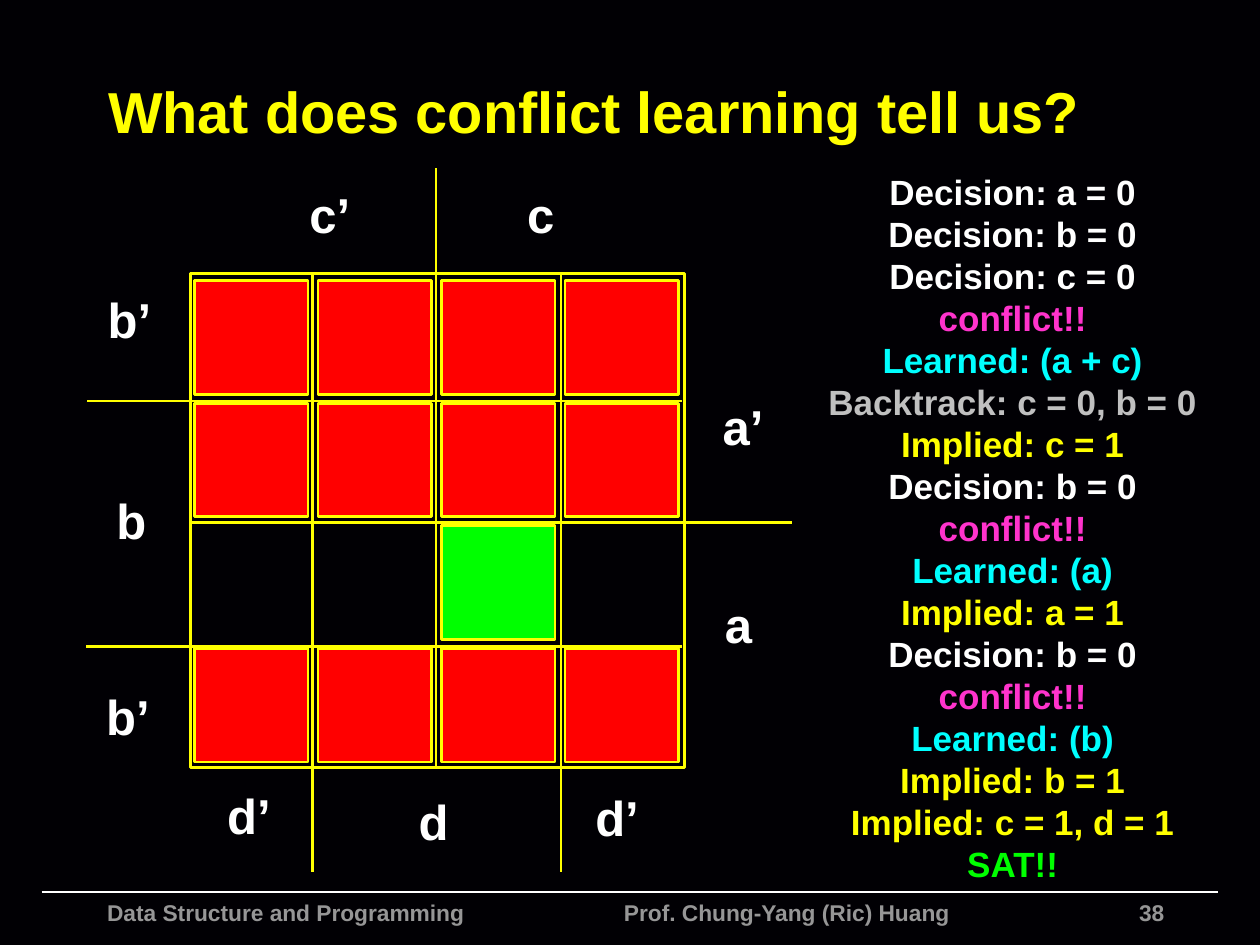
from lxml import etree
from pptx import Presentation
from pptx.dml.color import RGBColor
from pptx.enum.shapes import MSO_CONNECTOR as Connector, MSO_SHAPE as Shape
from pptx.enum.text import MSO_ANCHOR as Anchor, PP_ALIGN as Align
from pptx.oxml.ns import qn
from pptx.util import Cm, Pt

YELLOW, WHITE, GREY = "FFFF00", "FFFFFF", "969696"
RED, GREEN, PINK, CYAN, SILVER = "FF0000", "00FF00", "FF33CC", "00FFFF", "C0C0C0"

# Karnaugh map, in cm from its top left corner
PITCH_X, PITCH_Y, TILE = 2.49, 2.47, 2.29
TILE_LEFT, TILE_TOP = 0.08, 0.15
TILE_ROWS = ["RRRR", "RRRR", "..G.", "RRRR"]
TILE_COLORS = {"R": RED, "G": GREEN}
DIVIDERS = [
    (0, 5.03, 12.12, 5.03), (4.95, 9.93, 4.95, -2.13),
    (9.9, 2.57, -2.08, 2.57), (9.9, 7.52, -2.11, 7.52),
    (2.46, 0, 2.46, 12.07), (7.47, 0, 7.47, 12.07),
]
# Label text, centre, top
LABELS = [
    ("a", 11.05, 6.35), ("a’", 11.14, 2.36),
    ("b’", -1.23, 0.2), ("b", -1.19, 4.24), ("b’", -1.26, 8.2),
    ("c’", 2.81, -1.93), ("c", 7.06, -1.93),
    ("d’", 1.18, 10.19), ("d", 4.9, 10.31), ("d’", 8.6, 10.24),
]
LOG = [
    ("Decision: a = 0", WHITE), ("Decision: b = 0", WHITE),
    ("Decision: c = 0", WHITE), ("conflict!!", PINK),
    ("Learned: (a + c)", CYAN), ("Backtrack: c = 0, b = 0", SILVER),
    ("Implied: c = 1", YELLOW), ("Decision: b = 0", WHITE),
    ("conflict!!", PINK), ("Learned: (a)", CYAN),
    ("Implied: a = 1", YELLOW), ("Decision: b = 0", WHITE),
    ("conflict!!", PINK), ("Learned: (b)", CYAN),
    ("Implied: b = 1", YELLOW), ("Implied: c = 1, d = 1", YELLOW),
    ("SAT!!", GREEN),
]


def color(hex_code):
    return RGBColor.from_string(hex_code)


def style(para, size, hex_code, align=Align.LEFT):
    para.alignment = align
    font = para.font
    font.name, font.size, font.bold = "Arial", Pt(size), True
    font.color.rgb = color(hex_code)


def add_text_frame(page, left, top, width, height, inset=0.25, wrap=True):
    box = page.shapes.add_textbox(Cm(left), Cm(top), Cm(width), Cm(height))
    frame = box.text_frame
    frame.word_wrap = wrap
    frame.margin_left = frame.margin_right = Cm(inset)
    frame.margin_top = frame.margin_bottom = Cm(0.13)
    return frame


def add_line(page, x1, y1, x2, y2, hex_code, weight):
    line = page.shapes.add_connector(
        Connector.STRAIGHT, Cm(x1), Cm(y1), Cm(x2), Cm(y2))
    line.line.color.rgb = color(hex_code)
    line.line.width = Pt(weight)
    etree.SubElement(line._element.spPr, qn("a:effectLst"))


def add_square(page, left, top, side, fill=None):
    square = page.shapes.add_shape(
        Shape.RECTANGLE, Cm(left), Cm(top), Cm(side), Cm(side))
    square.shadow.inherit = False
    if fill:
        square.fill.solid()
        square.fill.fore_color.rgb = color(fill)
    else:
        square.fill.background()
    square.line.color.rgb = color(YELLOW)
    square.line.width = Pt(1.5)


def add_title(page, left, top, width, height):
    frame = add_text_frame(page, left, top, width, height)
    frame.vertical_anchor = Anchor.MIDDLE
    para = frame.paragraphs[0]
    para.text = "What does conflict learning tell us?"
    style(para, 33, YELLOW)


def add_map(page, left, top, side):
    # Frame and dividing lines
    add_square(page, left, top, side)
    for x1, y1, x2, y2 in DIVIDERS:
        add_line(page, left + x1, top + y1, left + x2, top + y2, YELLOW, 1.5)

    # Coloured tiles
    for row, marks in enumerate(TILE_ROWS):
        for column, mark in enumerate(marks):
            if mark in TILE_COLORS:
                add_square(page, left + TILE_LEFT + column * PITCH_X,
                           top + TILE_TOP + row * PITCH_Y,
                           TILE, TILE_COLORS[mark])

    # Variable labels
    width = 1.14
    for text, center, label_top in LABELS:
        frame = add_text_frame(page, left + center - width / 2,
                               top + label_top, width, 1.45, 0.13, wrap=False)
        para = frame.paragraphs[0]
        para.text = text
        style(para, 28, WHITE, Align.CENTER)


def add_log(page, left, top, width, height):
    frame = add_text_frame(page, left, top, width, height, 0.13)
    for index, (text, hex_code) in enumerate(LOG):
        para = frame.add_paragraph() if index else frame.paragraphs[0]
        para.text = text
        para.line_spacing = Pt(24)
        style(para, 20, hex_code, Align.CENTER)


def add_footer(page, left, top, width):
    add_line(page, left, top, left + width, top, WHITE, 1)

    # Course and lecturer, set apart by a tab stop
    para = add_text_frame(page, left + 1.07, top, 18.39, 1.07).paragraphs[0]
    para.text = "Data Structure and Programming\tProf. Chung-Yang (Ric) Huang"
    tabs = etree.SubElement(para._p.get_or_add_pPr(), qn("a:tabLst"))
    etree.SubElement(tabs, qn("a:tab"), pos=str(Cm(10.42)), algn="l")
    style(para, 13, GREY)

    # Page number
    number = add_text_frame(page, left + 14.83, top, 8.05, 0.46).paragraphs[0]
    number.text = "38"
    style(number, 13, GREY, Align.RIGHT)


def main():
    deck = Presentation()
    deck.slide_width, deck.slide_height = Cm(25.4), Cm(19.05)
    page = deck.slides.add_slide(deck.slide_layouts[6])
    page.background.fill.solid()
    page.background.fill.fore_color.rgb = color("010004")

    add_footer(page, 0.84, 17.98, 23.72)
    add_title(page, 1.93, 0.94, 22.45, 2.57)
    add_map(page, 3.84, 5.51, 9.96)
    add_log(page, 15.93, 3.3, 8.97, 14.66)
    deck.save("out.pptx")


if __name__ == "__main__":
    main()
